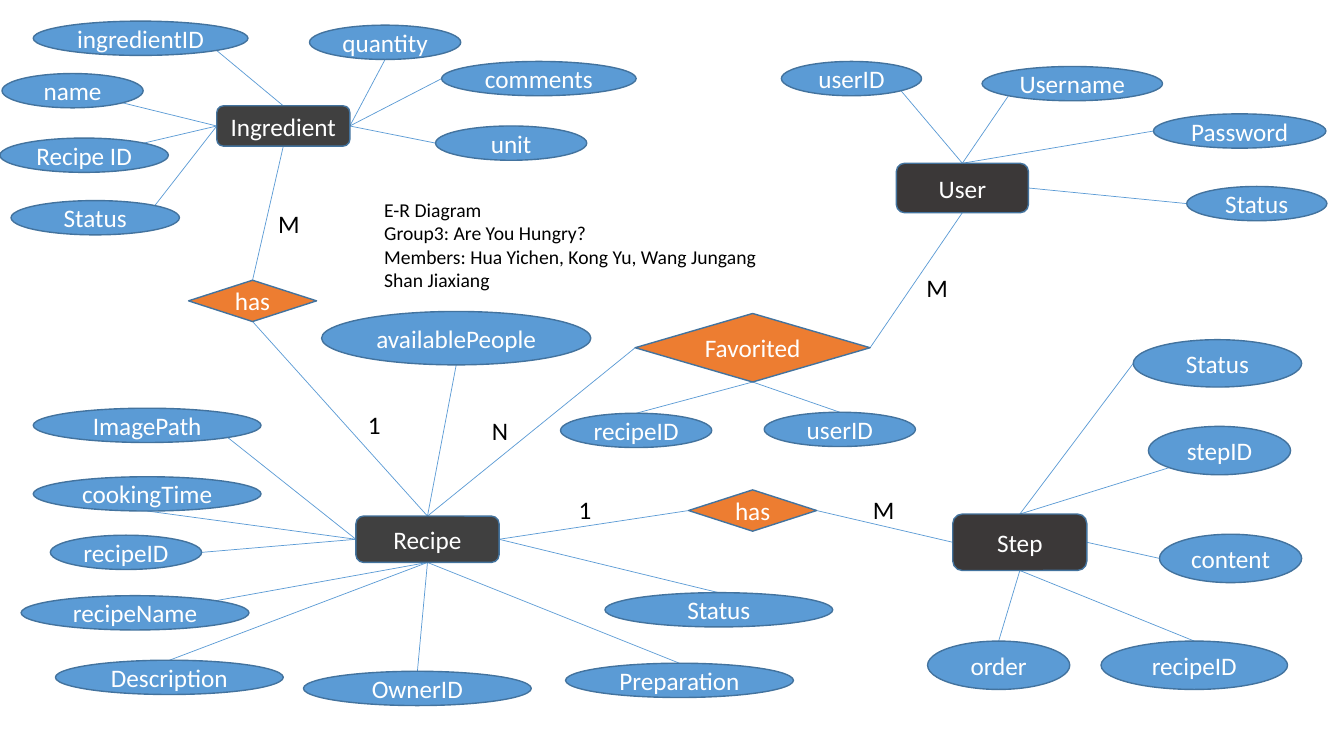
from dataclasses import dataclass
from math import sqrt
from lxml import etree
from pptx import Presentation
from pptx import util as u
from pptx.dml.color import RGBColor
from pptx.enum import shapes, text
from pptx.oxml.ns import qn


@dataclass(frozen=True)
class Theme:
    """Colours, font and sizes of the diagram."""
    oval: str = "5B9BD5"
    bond: str = "ED7D31"
    dark: str = "404040"
    warm: str = "3B3838"
    edge: str = "43739E"
    link: str = "5B9BD5"
    light: str = "FFFFFF"
    ink: str = "000000"
    font: str = "Calibri"
    size: int = 18
    note: int = 14
    rim: float = 1
    thin: float = 0.5


T = Theme()
S = shapes.MSO_SHAPE
RECT, OVAL, BOND = S.ROUNDED_RECTANGLE, S.OVAL, S.FLOWCHART_DECISION
STEP = {"t": (0, -1), "b": (0, 1), "l": (-1, 0), "r": (1, 0)}


def write(para, words, size, color, align):
    """Add one styled run to a paragraph."""
    para.alignment = align
    run = para.add_run()
    run.text = words
    run.font.name = T.font
    run.font.size = u.Pt(size)
    run.font.color.rgb = RGBColor.from_string(color)


def node(slide, kind, box, name, fill):
    """Draw a filled, outlined shape with its name in the centre."""
    shape = slide.shapes.add_shape(kind, *map(u.Inches, box))
    shape.shadow.inherit = False
    shape.fill.solid()
    shape.fill.fore_color.rgb = RGBColor.from_string(fill)
    shape.line.color.rgb = RGBColor.from_string(T.edge)
    shape.line.width = u.Pt(T.rim)
    frame = shape.text_frame
    frame.word_wrap = False
    frame.vertical_anchor = text.MSO_ANCHOR.MIDDLE
    write(frame.paragraphs[0], name, T.size, T.light, text.PP_ALIGN.CENTER)


def port(box, side):
    """Return the point on a side; two letters mean an oval's diagonal."""
    x, y, w, h = box
    dx, dy = (sum(STEP[c][i] for c in side) / sqrt(len(side)) for i in (0, 1))
    return x + w / 2 * (1 + dx), y + h / 2 * (1 + dy)


def link(slide, start, end):
    """Draw a thin line between two points."""
    line = slide.shapes.add_connector(
        shapes.MSO_CONNECTOR.STRAIGHT, *map(u.Inches, start + end))
    line.line.color.rgb = RGBColor.from_string(T.link)
    line.line.width = u.Pt(T.thin)
    etree.SubElement(line._element.spPr, qn("a:effectLst"))


def cluster(slide, box, kind, name, fill, size, attrs):
    """Draw an entity or relation with its attributes around it.

    Each attribute: name, offset from the box, own side, attribute side,
    then a width and height when they differ from the usual size.
    """
    for label, dx, dy, own, far, *dims in attrs:
        oval = (box[0] + dx, box[1] + dy, *(dims or size))
        link(slide, port(box, own), port(oval, far))
        node(slide, OVAL, oval, label, T.oval)
    node(slide, kind, box, name, fill)


def count(slide, box, mark):
    """Write a cardinality mark beside a link."""
    frame = slide.shapes.add_textbox(*map(u.Inches, box)).text_frame
    frame.word_wrap = False
    write(frame.paragraphs[0], mark, T.size, T.ink, text.PP_ALIGN.LEFT)


def heading(slide, box, lines):
    """Set the title block in the title placeholder."""
    title = slide.shapes.title
    title.left, title.top, title.width, title.height = map(u.Inches, box)
    frame = title.text_frame
    frame.word_wrap = True
    frame.auto_size = text.MSO_AUTO_SIZE.NONE
    frame.vertical_anchor = text.MSO_ANCHOR.TOP
    for i, words in enumerate(lines):
        para = frame.add_paragraph() if i else frame.paragraphs[0]
        write(para, words, T.note, T.ink, text.PP_ALIGN.LEFT)


USER = (8.89, 1.62, 1.31, 0.49)
FOOD = (2.15, 1.05, 1.32, 0.4)
DISH = (3.53, 5.12, 1.42, 0.46)
STAGE = (9.45, 5.1, 1.33, 0.56)
HOLDS = (1.87, 2.78, 1.27, 0.41)
TAKES = (6.83, 4.86, 1.27, 0.41)
LIKES = (6.3, 3.11, 2.33, 0.68)

GROUPS = [
    (USER, RECT, "User", T.warm, (1.39, 0.34), [
        ("userID", -1.14, -1.01, "t", "br"),
        ("Status", 2.88, 0.23, "r", "l"),
        ("Password", 2.55, -0.49, "t", "l", 1.71, 0.34),
        ("Username", 0.85, -0.96, "t", "bl", 1.79, 0.34)]),
    (HOLDS, BOND, "has", T.bond, None, []),
    (TAKES, BOND, "has", T.bond, None, []),
    (LIKES, BOND, "Favorited", T.bond, (1.5, 0.34), [
        ("userID", 1.28, 0.98, "b", "t"),
        ("recipeID", -0.74, 0.99, "b", "t")]),
    (DISH, RECT, "Recipe", T.dark, (2.26, 0.34), [
        ("ImagePath", -3.2, -1.07, "l", "br"),
        ("cookingTime", -3.2, -0.39, "l", "b"),
        ("recipeID", -3.03, 0.19, "l", "r", 1.5, 0.34),
        ("recipeName", -3.32, 0.79, "b", "tr"),
        ("Description", -2.98, 1.43, "b", "t"),
        ("OwnerID", -0.52, 1.54, "b", "t"),
        ("Preparation", 2.08, 1.46, "b", "t"),
        ("Status", 2.47, 0.76, "r", "t"),
        ("availablePeople", -0.34, -2.03, "t", "b", 2.67, 0.53)]),
    (FOOD, RECT, "Ingredient", T.dark, (1.5, 0.34), [
        ("ingredientID", -1.82, -0.84, "t", "br", 2.13, 0.34),
        ("name", -2.13, -0.32, "l", "br", 1.4, 0.34),
        ("Recipe ID", -2.15, 0.32, "l", "tr", 1.67, 0.34),
        ("Status", -2.04, 0.94, "l", "tr", 1.67, 0.34),
        ("quantity", 0.92, -0.8, "r", "b"),
        ("comments", 2.23, -0.44, "r", "l", 1.93, 0.34),
        ("unit", 2.17, 0.2, "r", "l")]),
    (STAGE, RECT, "Step", T.warm, (1.41, 0.48), [
        ("Status", 1.79, -1.73, "t", "l", 1.67, 0.47),
        ("stepID", 1.94, -0.87, "t", "bl"),
        ("content", 2.05, 0.2, "r", "l"),
        ("recipeID", 1.47, 1.26, "b", "t", 1.85, 0.48),
        ("order", -0.25, 1.26, "b", "t")]),
]

# From box and side, to box and side, mark and its place
BONDS = [
    (DISH, "t", HOLDS, "b", "1", (3.55, 4.01, 0.33, 0.4)),
    (FOOD, "b", HOLDS, "t", "M", (2.66, 2.02, 0.42, 0.4)),
    (DISH, "r", TAKES, "l", "1", (5.64, 4.86, 0.33, 0.4)),
    (TAKES, "r", STAGE, "l", "M", (8.56, 4.86, 0.42, 0.4)),
    (LIKES, "l", DISH, "t", "N", (4.78, 4.07, 0.36, 0.4)),
    (LIKES, "r", USER, "b", "M", (9.09, 2.65, 0.42, 0.4)),
]


def main():
    """Build the diagram and save it."""
    deck = Presentation()
    deck.slide_width, deck.slide_height = u.Inches(13.33), u.Inches(7.5)
    slide = deck.slides.add_slide(deck.slide_layouts[5])
    heading(slide, (3.71, 1.91, 5.24, 1.04), [
        "E-R Diagram", "Group3: Are You Hungry?",
        "Members: Hua Yichen, Kong Yu, Wang Jungang", "Shan Jiaxiang"])
    for here, exit, there, entry, mark, place in BONDS:
        link(slide, port(here, exit), port(there, entry))
        count(slide, place, mark)
    for group in GROUPS:
        cluster(slide, *group)
    deck.save("out.pptx")


main()
